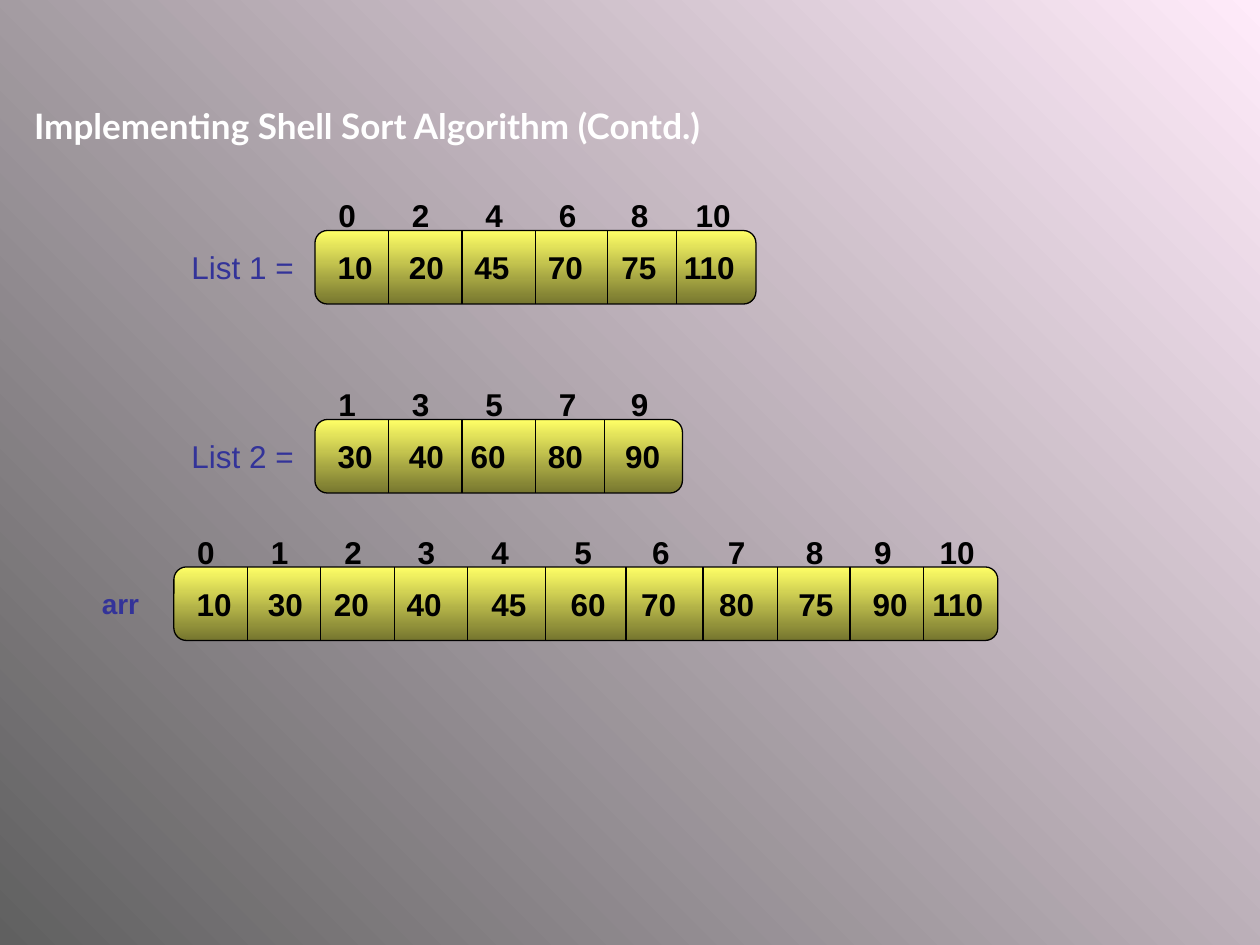
from pptx import Presentation
from pptx.dml.color import RGBColor
from pptx.enum.shapes import MSO_CONNECTOR, MSO_SHAPE
from pptx.enum.text import MSO_ANCHOR, MSO_AUTO_SIZE, PP_ALIGN
from pptx.util import Inches, Pt
from lxml import etree

ROUNDED = MSO_SHAPE.ROUNDED_RECTANGLE
STRAIGHT = MSO_CONNECTOR.STRAIGHT
MIDDLE = MSO_ANCHOR.MIDDLE
LEFT = PP_ALIGN.LEFT
NO_AUTOFIT = MSO_AUTO_SIZE.NONE

COLORS = {
    "dark": "606060",
    "light": "FFEBFA",
    "yellow": "FFFF66",
    "olive": "76762F",
    "ink": "000000",
    "label": "333399",
    "title": "FFFFFF",
}
DIGIT = {"name": "Arial", "size": Pt(18), "bold": True}
LIST_LABEL = {"name": "Arial", "size": Pt(18), "bold": False}
ARRAY_LABEL = {"name": "Arial", "size": Pt(16), "bold": True}
TITLE = {"name": "Lato", "size": Pt(20), "bold": True}
CELL = 7 / 12
TEXT_HEIGHT = 0.4


def write_text(shape, text, font_format, color):
    frame = shape.text_frame
    frame.word_wrap = True
    frame.auto_size = NO_AUTOFIT
    frame.vertical_anchor = MIDDLE
    paragraph = frame.paragraphs[0]
    paragraph.alignment = LEFT
    run = paragraph.add_run()
    run.text = text
    for name, value in font_format.items():
        setattr(run.font, name, value)
    run.font.color.rgb = RGBColor.from_string(COLORS[color])


def fill_gradient(fill, colors, angle):
    fill.gradient()
    fill.gradient_angle = angle
    for stop, position, color in zip(fill.gradient_stops, (0, 1), colors):
        stop.position = position
        stop.color.rgb = RGBColor.from_string(COLORS[color])


presentation = Presentation()
presentation.slide_width = Inches(10)
presentation.slide_height = Inches(7.5)
slide = presentation.slides.add_slide(presentation.slide_layouts[5])
shapes = slide.shapes
fill_gradient(slide.background.fill, ("dark", "light"), 45)

title = shapes.title
title.left, title.top, title.width, title.height = map(Inches, (0.17, 0.78, 7.5, 0.44))
write_text(title, "Implementing Shell Sort Algorithm (Contd.)", TITLE, "title")

arrays = [
    {
        "label": ("List 1 =", 1.42, LIST_LABEL),
        "left": 2.5,
        "top": 1.83,
        "edges": [1, 2, 3, 3.98, 4.92, 6],
        "indexes": [(0, 0.15), (2, 1.15), (4, 2.15), (6, 3.15), (8, 4.13), (10, 5.01)],
        "values": [(10, 0.14), (20, 1.11), (45, 2), (70, 3), (75, 4), (110, 4.85)],
    },
    {
        "label": ("List 2 =", 1.42, LIST_LABEL),
        "left": 2.5,
        "top": 3.33,
        "edges": [1, 2, 3, 3.94, 5],
        "indexes": [(1, 0.15), (3, 1.15), (5, 2.15), (7, 3.15), (9, 4.13)],
        "values": [(30, 0.14), (40, 1.11), (60, 1.95), (80, 3), (90, 4.05)],
    },
    {
        "label": ("arr", 0.71, ARRAY_LABEL),
        "left": 1.38,
        "top": 4.5,
        "edges": [1, 2, 3, 4, 5.06, 6.15, 7.2, 8.21, 9.2, 10.2, 11.21],
        "indexes": [(0, 0.15), (1, 1.15), (2, 2.15), (3, 3.15), (4, 4.15), (5, 5.28),
                    (6, 6.34), (7, 7.37), (8, 8.43), (9, 9.36), (10, 10.25)],
        "values": [(10, 0.14), (30, 1.11), (20, 2.01), (40, 3), (45, 4.15), (60, 5.23),
                   (70, 6.19), (80, 7.25), (75, 8.33), (90, 9.34), (110, 10.15)],
    },
]

for array in arrays:
    left, top = array["left"], array["top"]
    *dividers, end = array["edges"]
    bar = shapes.add_shape(ROUNDED, Inches(left), Inches(top), Inches(end * CELL), Inches(CELL))
    bar.adjustments[0] = 0.17
    bar.shadow.inherit = False
    fill_gradient(bar.fill, ("yellow", "olive"), 270)
    lines = [bar.line]

    for column in dividers:
        x = Inches(left + column * CELL)
        divider = shapes.add_connector(STRAIGHT, x, Inches(top), x, Inches(top + CELL))
        properties = divider._element.spPr
        lines.append(divider.line)
        divider.line.width = Pt(0.75)
        etree.SubElement(properties, "{http://schemas.openxmlformats.org/drawingml/2006/main}effectLst")

    for line in lines:
        line.width = Pt(0.75)
        line.color.rgb = RGBColor.from_string(COLORS["ink"])

    for kind, offset in (("indexes", -0.32), ("values", 0.09)):
        for number, column in array[kind]:
            width = 0.18 + 0.16 * len(str(number))
            box = shapes.add_textbox(Inches(left + column * CELL), Inches(top + offset),
                                     Inches(width), Inches(TEXT_HEIGHT))
            write_text(box, str(number), DIGIT, "ink")

    text, label_left, label_format = array["label"]
    label = shapes.add_textbox(Inches(label_left), Inches(top + 0.09),
                               Inches(left - label_left), Inches(TEXT_HEIGHT))
    write_text(label, text, label_format, "label")

presentation.save("out.pptx")
